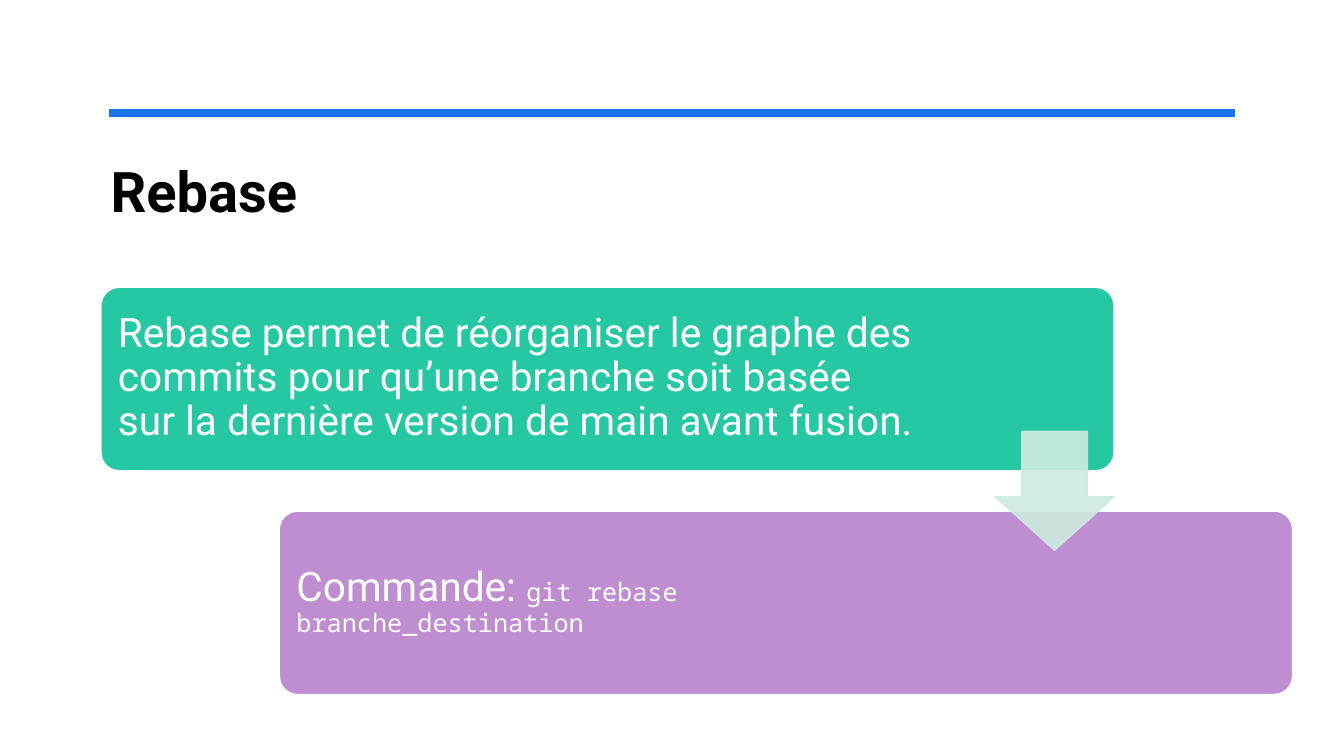
from lxml import etree
from pptx import Presentation
from pptx import util as u
from pptx.dml.color import RGBColor
from pptx.enum import shapes, text
from pptx.oxml.ns import qn

WHITE = "FFFFFF"
MINT = "CDEBE0"
BODY_FONT = "Roboto"
CODE_FONT = "Noto Sans Mono"


def color(hex_value):
    return RGBColor.from_string(hex_value)


def set_alpha(fill, percent):
    """Make a solid fill partly transparent."""
    for rgb in fill._xPr.iter(qn("a:srgbClr")):
        etree.SubElement(rgb, qn("a:alpha")).set("val", str(percent * 1000))


class SlideBuilder:
    def __init__(self, slide):
        self.slide = slide

    def rule(self, left, right, top, hex_value, width):
        line = self.slide.shapes.add_connector(
            shapes.MSO_CONNECTOR.STRAIGHT,
            u.Inches(left), u.Inches(top), u.Inches(right), u.Inches(top))
        line.line.color.rgb = color(hex_value)
        line.line.width = u.Pt(width)
        etree.SubElement(line._element.spPr, qn("a:effectLst"))

    def shape(self, kind, box, adjustments, fill, outline, opacity=100):
        shape = self.slide.shapes.add_shape(kind, *map(u.Inches, box))
        shape.shadow.inherit = False
        for index, value in enumerate(adjustments):
            shape.adjustments[index] = value
        shape.fill.solid()
        shape.fill.fore_color.rgb = color(fill)
        shape.line.color.rgb = color(outline)
        shape.line.width = u.Pt(1)
        if opacity < 100:
            set_alpha(shape.fill, opacity)
            set_alpha(shape.line.fill, opacity)

    def text(self, box, runs, hex_value, inset, anchor, spacing=1.0, bold=False):
        """Add one paragraph; each run is (text, size, font)."""
        frame = self.slide.shapes.add_textbox(*map(u.Inches, box)).text_frame
        frame.word_wrap = True
        frame.vertical_anchor = anchor
        frame.margin_left = frame.margin_right = u.Inches(inset[0])
        frame.margin_top = frame.margin_bottom = u.Inches(inset[1])
        paragraph = frame.paragraphs[0]
        paragraph.line_spacing = spacing
        for content, size, font in runs:
            run = paragraph.add_run()
            run.text = content
            run.font.size = u.Pt(size)
            run.font.name = font
            run.font.bold = bold
            run.font.color.rgb = color(hex_value)

    def card(self, left, top, fill, text_width, runs):
        self.shape(shapes.MSO_SHAPE.ROUNDED_RECTANGLE,
                   (left, top, 10.05, 1.82), [0.1], fill, WHITE)
        self.text((left + 0.05, top + 0.05, text_width, 1.71), runs, WHITE,
                  (0.12, 0.12), text.MSO_ANCHOR.MIDDLE, spacing=0.9)


def main():
    presentation = Presentation()
    presentation.slide_width = u.Inches(13.33)
    presentation.slide_height = u.Inches(7.5)
    builder = SlideBuilder(
        presentation.slides.add_slide(presentation.slide_layouts[6]))

    builder.text((1, 1.5, 11.33, 1.25), [("Rebase", 40, BODY_FONT)], "000000",
                 (0.1, 0.05), text.MSO_ANCHOR.TOP, bold=True)
    builder.rule(1.08, 12.25, 1.12, "1973EB", 6)
    builder.card(1, 2.85, "25C8A2", 8.16, [
        ("Rebase permet de réorganiser le graphe des commits pour qu’une "
         "branche soit basée sur la dernière version de main avant fusion.",
         29, BODY_FONT)])
    builder.card(2.77, 5.07, "BF8ED1", 6.99, [
        ("Commande: ", 29, BODY_FONT),
        ("git rebase branche_destination", 18, CODE_FONT)])
    builder.shape(shapes.MSO_SHAPE.DOWN_ARROW, (9.87, 4.28, 1.18, 1.18),
                  [0.55, 0.45], MINT, MINT, opacity=90)
    presentation.save("out.pptx")


if __name__ == "__main__":
    main()
